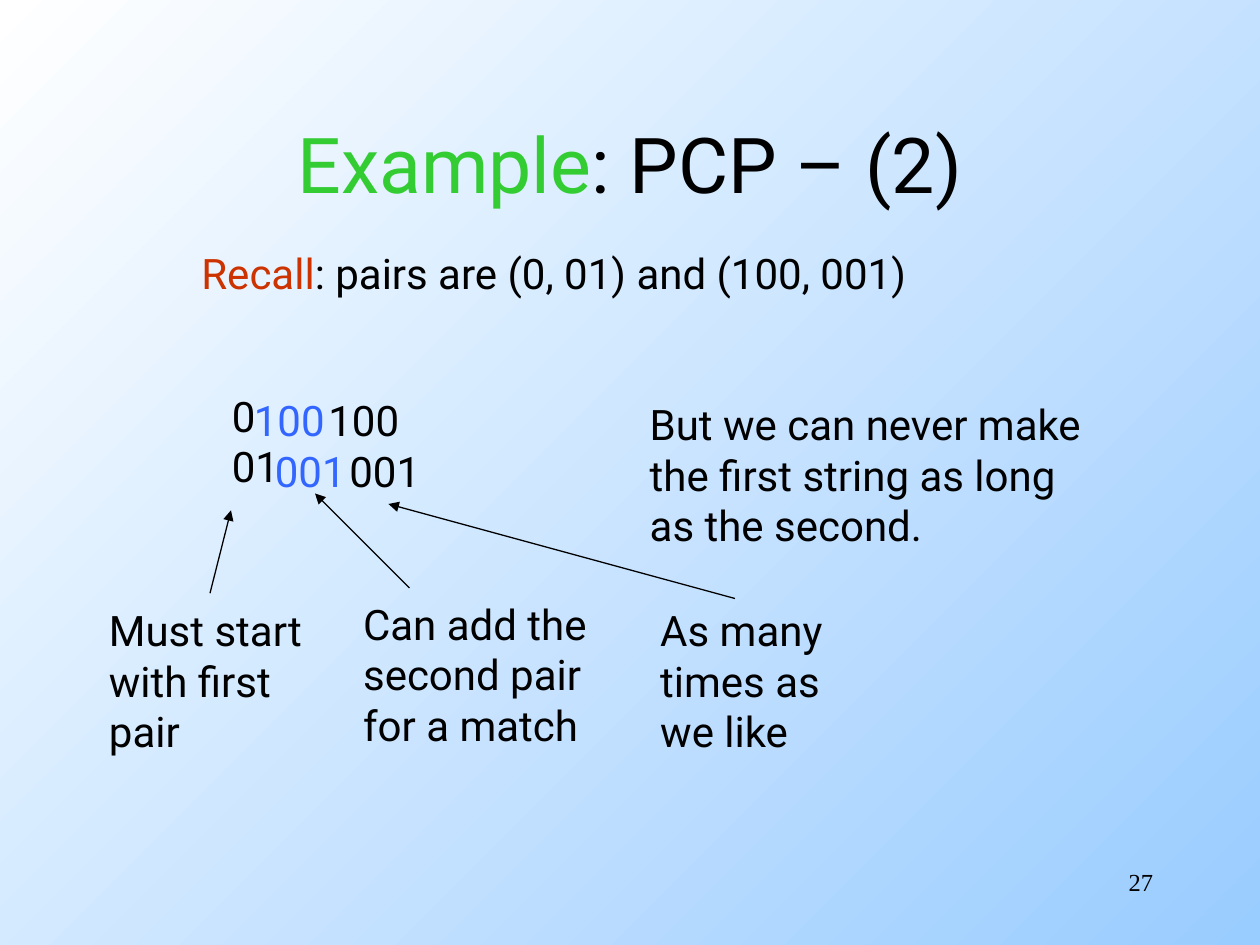
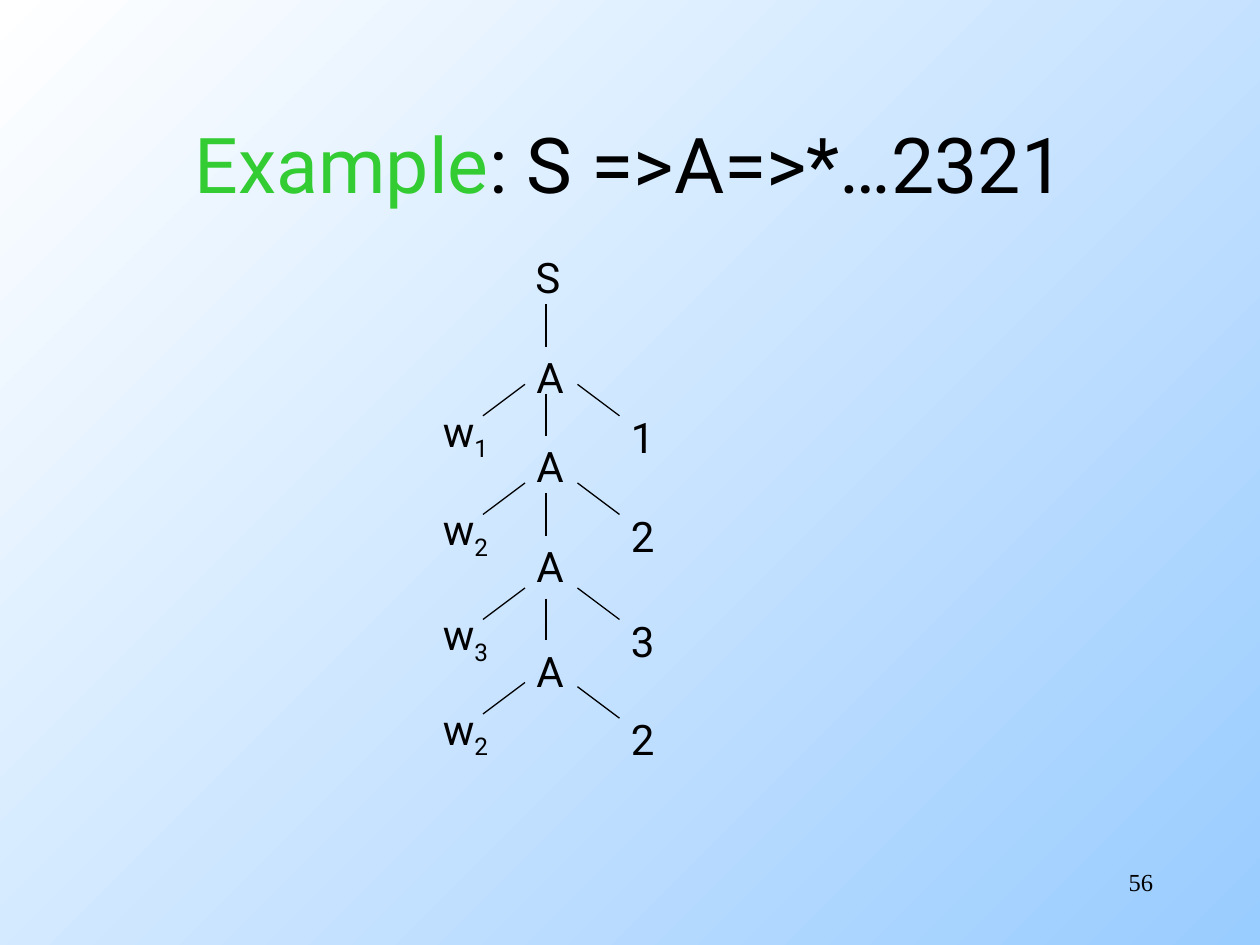
from dataclasses import dataclass
from typing import NamedTuple

from lxml import etree
from pptx import Presentation
from pptx import util as u
from pptx.dml.color import RGBColor
from pptx.enum import shapes, text
from pptx.oxml.ns import qn

SLIDE_WIDTH, SLIDE_HEIGHT = u.Inches(10), u.Inches(7.5)
COLUMNS, ROWS = 120, 90
LINE_ROWS, PADDING_ROWS = 4.8, 1.2

BLACK = RGBColor(0x00, 0x00, 0x00)
WHITE = RGBColor(0xFF, 0xFF, 0xFF)
SKY = RGBColor(0x99, 0xCC, 0xFF)
GREEN = RGBColor(0x33, 0xCC, 0x33)
RED = RGBColor(0xCC, 0x33, 0x00)
BLUE = RGBColor(0x33, 0x66, 0xFF)

TITLE_FORMAT = {"name": "Roboto", "size": u.Pt(44)}
BODY_FORMAT = {"name": "Roboto", "size": u.Pt(24)}
NUMBER_FORMAT = {"name": "Times New Roman", "size": u.Pt(14)}


class Point(NamedTuple):
    column: float
    row: float


class Words(NamedTuple):
    content: str
    color: RGBColor = BLACK
    subscript: bool = False


class Line(NamedTuple):
    words: tuple[Words, ...]
    indent: float = 0


@dataclass(frozen=True)
class Label:
    corner: Point
    columns: float
    lines: tuple[Line, ...]


@dataclass(frozen=True)
class Callout:
    pair: Label
    remark: Label
    start: Point
    end: Point


@dataclass(frozen=True)
class TreeLevel:
    stem_row: float
    left_row: float
    right_row: float
    index: str


def plain(*contents: str) -> tuple[Line, ...]:
    return tuple(Line((Words(content),)) for content in contents)


def pair_lines(first: str, second: str, color: RGBColor, indent: float) -> tuple[Line, ...]:
    return Line((Words(first, color),)), Line((Words(second, color),), indent)


RECALL = Label(Point(18, 23), 71.9, (
    Line((Words("Recall", RED), Words(": pairs are (0, 01) and (100, 001)"))),))
CONCLUSION = Label(Point(60.7, 37.4), 46.1, plain(
    "But we can never make", "the first string as long", "as the second."))
CALLOUTS = (
    Callout(Label(Point(20.9, 36.6), 7, plain("0", "01")),
            Label(Point(9.2, 57), 21.6, plain("Must start", "with first", "pair")),
            Point(20, 56.5), Point(22, 48.6)),
    Callout(Label(Point(23, 37), 11.3, pair_lines("100", "001", BLUE, 2)),
            Label(Point(33.4, 56.4), 25.1, plain("Can add the", "second pair", "for a match")),
            Point(39, 56), Point(30, 47)),
    Callout(Label(Point(30.1, 37), 11.3, pair_lines("100", "001", BLACK, 2)),
            Label(Point(61.7, 57), 19, plain("As many", "times as", "we like")),
            Point(70, 57), Point(37, 48)),
)

ROOT = Label(Point(49.8, 23.4), 4.6, plain("S"))
TREE_LEVELS = (
    TreeLevel(29, 36.6, 36.6, "1"),
    TreeLevel(37.5, 46, 46, "2"),
    TreeLevel(47, 56, 56, "3"),
    TreeLevel(57, 65, 65.4, "2"),
)
STEM_COLUMN, STEM_ROWS = 52, 4
BRANCH_ROWS = 3


def across(columns: float) -> int:
    return round(SLIDE_WIDTH * columns / COLUMNS)


def down(rows: float) -> int:
    return round(SLIDE_HEIGHT * rows / ROWS)


def set_values(target, values: dict) -> None:
    for name, value in values.items():
        setattr(target, name, value)


def write_words(paragraph, words: tuple[Words, ...], font_format: dict) -> None:
    for part in words:
        run = paragraph.add_run()
        run.text = part.content
        set_values(run.font, font_format)
        run.font.color.rgb = part.color
        if part.subscript:
            run._r.get_or_add_rPr().set("baseline", "-25000")


def draw_label(container, label: Label) -> None:
    height = LINE_ROWS * len(label.lines) + PADDING_ROWS
    box = container.add_textbox(across(label.corner.column), down(label.corner.row),
                                across(label.columns), down(height))
    frame = box.text_frame
    set_values(frame, {"word_wrap": False,
                       "auto_size": text.MSO_AUTO_SIZE.SHAPE_TO_FIT_TEXT})
    for position, line in enumerate(label.lines):
        paragraph = frame.add_paragraph() if position else frame.paragraphs[0]
        if line.indent:
            paragraph._p.get_or_add_pPr().set("marL", str(across(line.indent)))
        write_words(paragraph, line.words, BODY_FORMAT)


def draw_line(container, start: Point, end: Point, arrow: bool = False) -> None:
    connector = container.add_connector(
        shapes.MSO_CONNECTOR.STRAIGHT, across(start.column), down(start.row),
        across(end.column), down(end.row))
    connector.line.color.rgb = BLACK
    connector.line.width = u.Pt(0.75)
    properties = connector._element.spPr
    if arrow:
        etree.SubElement(properties.find(qn("a:ln")), qn("a:tailEnd"), type="triangle")
    etree.SubElement(properties, qn("a:effectLst"))


def draw_callout(slide, callout: Callout) -> None:
    group = slide.shapes.add_group_shape().shapes
    draw_label(group, callout.pair)
    draw_label(group, callout.remark)
    draw_line(group, callout.start, callout.end, arrow=True)


def draw_tree_level(slide, level: TreeLevel) -> None:
    group = slide.shapes.add_group_shape().shapes
    stem_end = level.stem_row + STEM_ROWS
    draw_line(group, Point(STEM_COLUMN, level.stem_row), Point(STEM_COLUMN, stem_end))
    draw_label(group, Label(Point(49.9, stem_end - 0.1), 4.9, plain("A")))
    draw_line(group, Point(50, level.left_row), Point(46, level.left_row + BRANCH_ROWS))
    draw_line(group, Point(55, level.right_row), Point(59, level.right_row + BRANCH_ROWS))
    string_name = Line((Words("w"), Words(level.index, subscript=True)))
    draw_label(group, Label(Point(41, level.left_row + 1.4), 6.8, (string_name,)))
    draw_label(group, Label(Point(58.9, level.right_row + 2), 4.7, plain(level.index)))


def paint_background(presentation) -> None:
    fill = presentation.slide_master.background.fill
    fill.gradient()
    fill.gradient_angle = 315
    for stop, color, position in zip(fill.gradient_stops, (WHITE, SKY), (0, 1)):
        stop.color.rgb = color
        stop.position = position


def add_slide(presentation, topic: str, number: str):
    slide = presentation.slides.add_slide(presentation.slide_layouts[5])
    title = slide.shapes.title
    set_values(title, {"left": across(9), "top": down(8),
                       "width": across(102), "height": down(15)})
    set_values(title.text_frame, {"vertical_anchor": text.MSO_ANCHOR.MIDDLE,
                                  "auto_size": text.MSO_AUTO_SIZE.NONE})
    heading = title.text_frame.paragraphs[0]
    heading.alignment = text.PP_ALIGN.CENTER
    write_words(heading, (Words("Example", GREEN), Words(f": {topic}")), TITLE_FORMAT)

    footer = slide.shapes.add_textbox(across(86), down(82), across(25), down(6))
    footer.text_frame.word_wrap = True
    paragraph = footer.text_frame.paragraphs[0]
    paragraph.alignment = text.PP_ALIGN.RIGHT
    write_words(paragraph, (Words(number),), NUMBER_FORMAT)
    return slide


def main() -> None:
    presentation = Presentation()
    set_values(presentation, {"slide_width": SLIDE_WIDTH, "slide_height": SLIDE_HEIGHT})
    paint_background(presentation)

    pairs_slide = add_slide(presentation, "PCP – (2)", "27")
    draw_label(pairs_slide.shapes, RECALL)
    for callout in CALLOUTS:
        draw_callout(pairs_slide, callout)
    draw_label(pairs_slide.shapes, CONCLUSION)

    tree_slide = add_slide(presentation, "S =>A=>*…2321", "56")
    draw_label(tree_slide.shapes, ROOT)
    for level in TREE_LEVELS:
        draw_tree_level(tree_slide, level)

    presentation.save("out.pptx")


if __name__ == "__main__":
    main()
